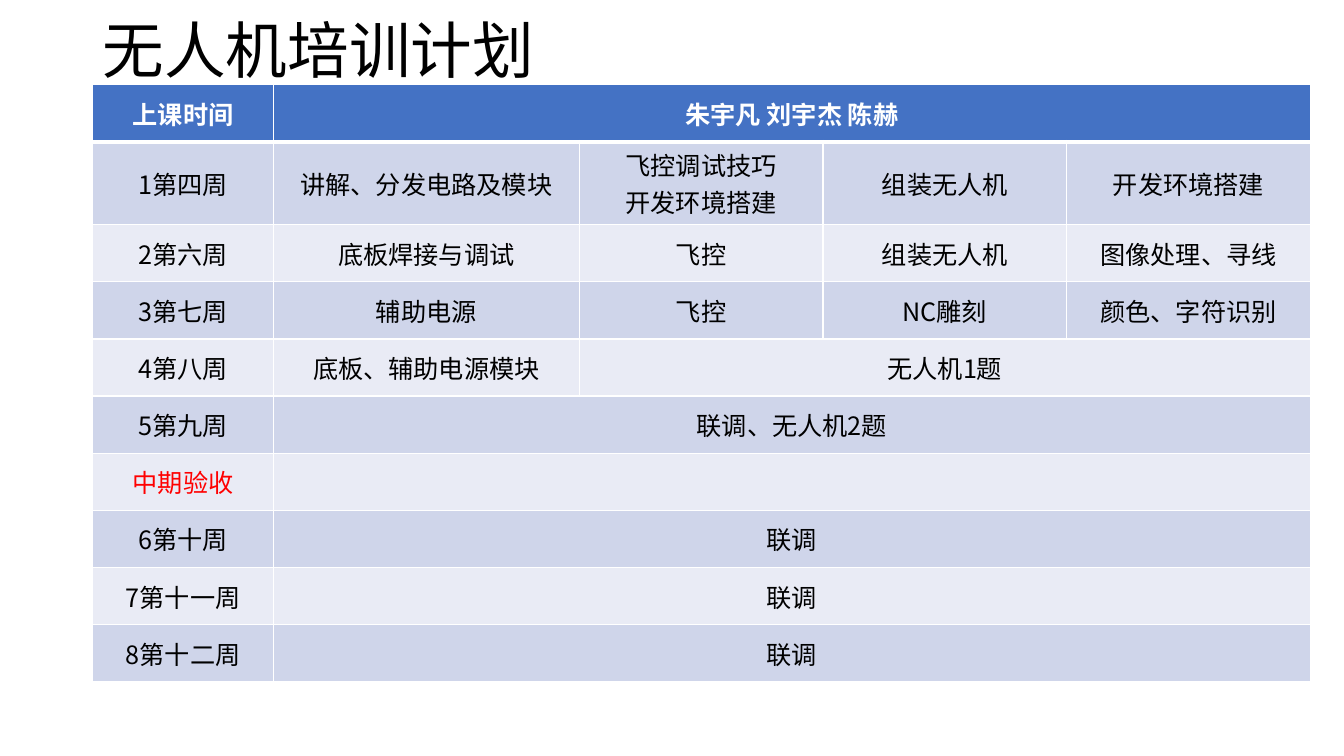
import dataclasses

import lxml.etree
import pptx
import pptx.dml.color
import pptx.enum.lang
import pptx.enum.text
import pptx.oxml.ns
import pptx.util
from pptx.util import Cm


@dataclasses.dataclass(frozen=True)
class Theme:
    font: str = "Noto Sans CJK SC"
    title_size: int = 44
    table_size: int = 18
    black: str = "000000"
    white: str = "FFFFFF"
    red: str = "FF0000"
    header: str = "4472C4"
    bands: tuple = ("CFD5EA", "E9EBF5")
    thin_border: float = 1
    thick_border: float = 3


THEME = Theme()
COLUMN_WIDTHS = (4.55, 7.71, 6.14, 6.14, 6.14)
ROW_HEIGHT = 1.44
TWO_LINE_ROW_HEIGHT = 2.09
MILESTONE = "中期验收"
SCHEDULE = (
    ("上课时间", "朱宇凡 刘宇杰 陈赫"),
    ("1第四周", "讲解、分发电路及模块", "飞控调试技巧\n开发环境搭建", "组装无人机", "开发环境搭建"),
    ("2第六周", "底板焊接与调试", "飞控", "组装无人机", "图像处理、寻线"),
    ("3第七周", "辅助电源", "飞控", "NC雕刻", "颜色、字符识别"),
    ("4第八周", "底板、辅助电源模块", "无人机1题"),
    ("5第九周", "联调、无人机2题"),
    (MILESTONE, ""),
    ("6第十周", "联调"),
    ("7第十一周", "联调"),
    ("8第十二周", "联调"),
)


def add_run(paragraph, text, size, color, bold=False):
    run = paragraph.add_run()
    run.text = text
    run.font.size = pptx.util.Pt(size)
    run.font.bold = bold
    run.font.color.rgb = pptx.dml.color.RGBColor.from_string(color)
    run.font.name = THEME.font
    run.font.language_id = pptx.enum.lang.MSO_LANGUAGE_ID.SIMPLIFIED_CHINESE
    east_asian = lxml.etree.Element(pptx.oxml.ns.qn("a:ea"), typeface=THEME.font)
    run.font._element.find(pptx.oxml.ns.qn("a:latin")).addnext(east_asian)


def add_border(cell, side, width):
    properties = cell._tc.get_or_add_tcPr()
    line = lxml.etree.SubElement(
        properties, pptx.oxml.ns.qn(f"a:ln{side}"), w=str(pptx.util.Pt(width))
    )
    fill = lxml.etree.SubElement(line, pptx.oxml.ns.qn("a:solidFill"))
    lxml.etree.SubElement(fill, pptx.oxml.ns.qn("a:srgbClr"), val=THEME.white)


def style_cell(cell, row_index):
    is_header = row_index == 0
    thick_side = {0: "B", 1: "T"}.get(row_index)
    for side in "LRTB":
        add_border(cell, side, THEME.thick_border if side == thick_side else THEME.thin_border)
    color = THEME.header if is_header else THEME.bands[(row_index - 1) % 2]
    cell.fill.solid()
    cell.fill.fore_color.rgb = pptx.dml.color.RGBColor.from_string(color)
    cell.vertical_anchor = pptx.enum.text.MSO_ANCHOR.MIDDLE


def write_cell(cell, text, color, bold):
    for index, line in enumerate(text.splitlines()):
        frame = cell.text_frame
        paragraph = frame.add_paragraph() if index else frame.paragraphs[0]
        paragraph.alignment = pptx.enum.text.PP_ALIGN.CENTER
        add_run(paragraph, line, THEME.table_size, color, bold)


def add_title(slide, left, top, width, height):
    shape = slide.shapes.add_textbox(left, top, width, height)
    frame = shape.text_frame
    frame.word_wrap = True
    frame.vertical_anchor = pptx.enum.text.MSO_ANCHOR.MIDDLE
    paragraph = frame.paragraphs[0]
    paragraph.line_spacing = 0.9
    add_run(paragraph, "无人机培训计划", THEME.title_size, THEME.black)


def row_height(entries):
    has_two_lines = any("\n" in text for text in entries)
    return TWO_LINE_ROW_HEIGHT if has_two_lines else ROW_HEIGHT


def add_schedule(slide, left, top, width, height):
    column_count = len(COLUMN_WIDTHS)
    table = slide.shapes.add_table(
        len(SCHEDULE), column_count, left, top, width, height
    ).table
    table.horz_banding = False
    for column, column_width in zip(table.columns, COLUMN_WIDTHS):
        column.width = Cm(column_width)
    for row_index, entries in enumerate(SCHEDULE):
        table.rows[row_index].height = Cm(row_height(entries))
        for column_index in range(column_count):
            style_cell(table.cell(row_index, column_index), row_index)
        is_header = row_index == 0
        for column_index, text in enumerate(entries):
            color = THEME.white if is_header else THEME.black
            if text == MILESTONE:
                color = THEME.red
            write_cell(table.cell(row_index, column_index), text, color, is_header)
        last = len(entries) - 1
        if last < column_count - 1:
            table.cell(row_index, last).merge(table.cell(row_index, column_count - 1))


def main():
    presentation = pptx.Presentation()
    presentation.slide_width = Cm(33.87)
    presentation.slide_height = Cm(19.05)
    slide = presentation.slides.add_slide(presentation.slide_layouts[6])
    add_title(slide, Cm(2.34), Cm(-0.48), Cm(29.21), Cm(3.68))
    table_height = sum(row_height(entries) for entries in SCHEDULE)
    add_schedule(slide, Cm(2.34), Cm(2.13), Cm(sum(COLUMN_WIDTHS)), Cm(table_height))
    presentation.save("out.pptx")


if __name__ == "__main__":
    main()
